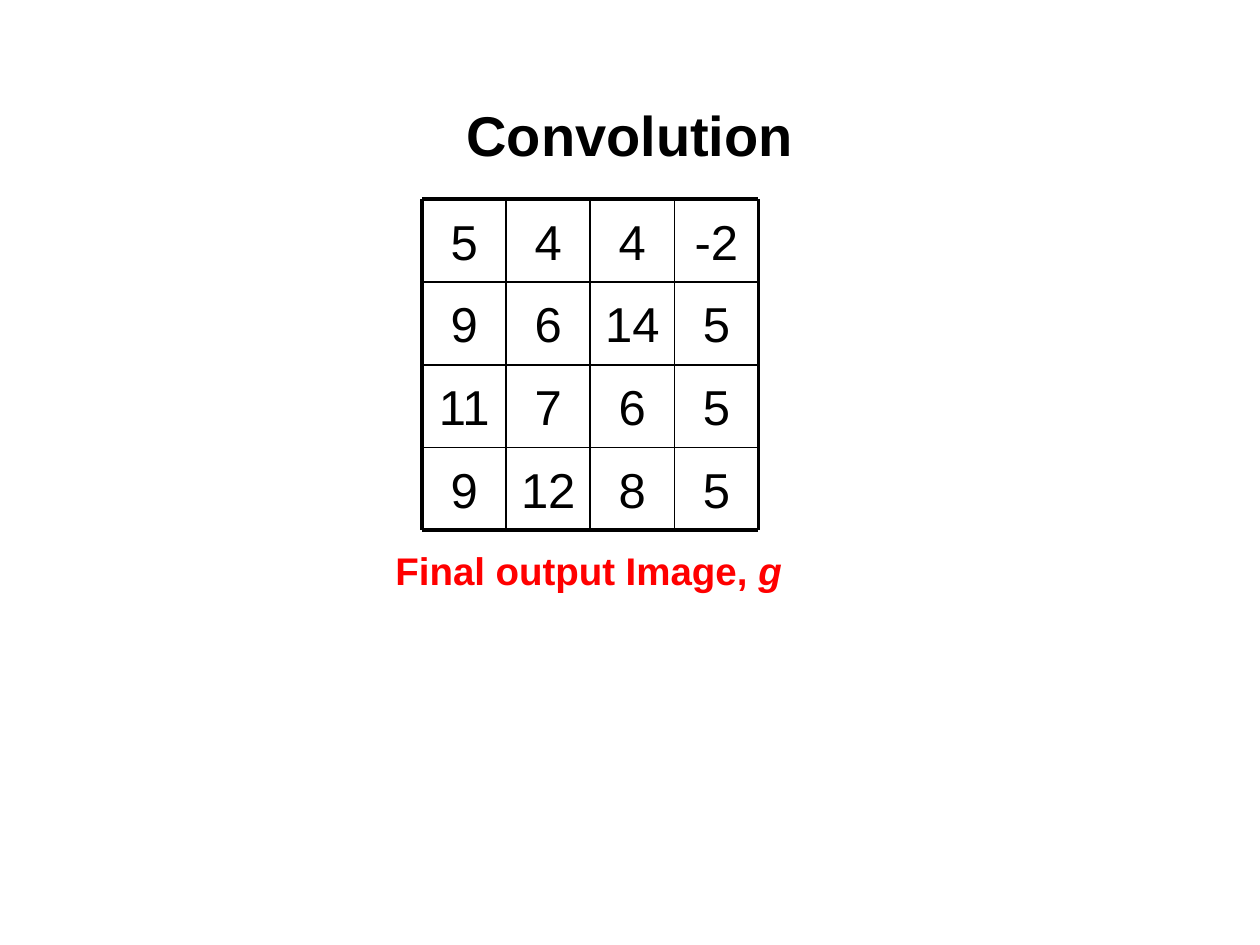
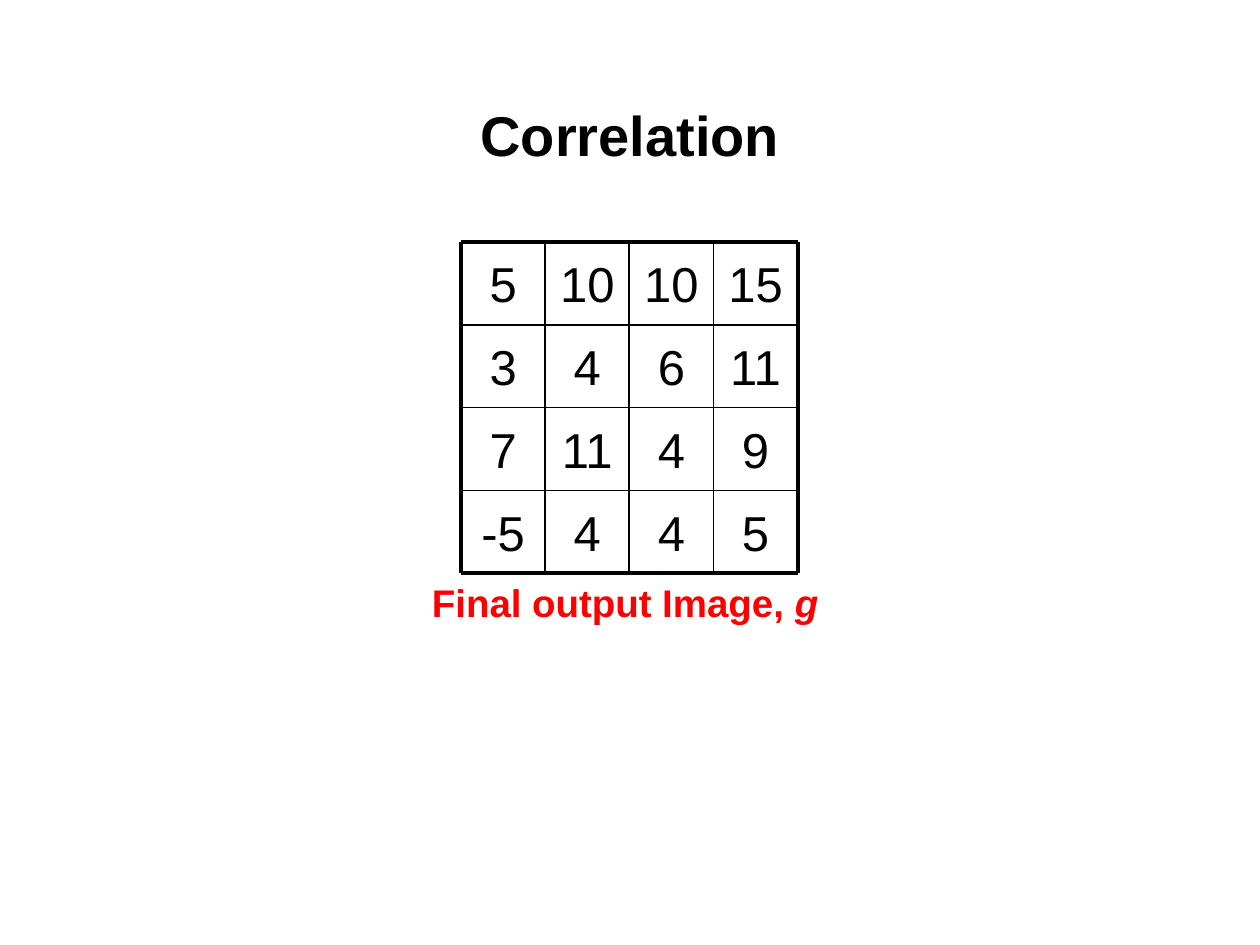
from dataclasses import dataclass
from lxml.etree import SubElement
from pptx import Presentation
from pptx.dml.color import RGBColor as RGB
from pptx.enum.shapes import MSO_CONNECTOR as Link
from pptx.enum.text import MSO_ANCHOR as Anchor, PP_ALIGN as Align
from pptx.oxml.ns import qn
from pptx.util import Inches, Pt


@dataclass(frozen=True)
class Theme:
    font: str = "Arial"
    ink: str = "000000"
    accent: str = "FF0000"
    title: int = 32
    number: int = 28
    label: int = 22
    thick: float = 2.25
    thin: float = 1
    grid: tuple = (2.67, 2.63)


class Deck:
    """Draws titled number grids with one shared style."""

    def __init__(self, theme):
        self.theme = theme
        self.prs = Presentation()
        self.prs.slide_width, self.prs.slide_height = Inches(10), Inches(7.5)

    def page(self):
        self.slide = self.prs.slides.add_slide(self.prs.slide_layouts[6])

    def style(self, run, size, color, bold=False, italic=False):
        font = run.font
        font.name, font.size = self.theme.font, Pt(size)
        font.bold, font.italic = bold, italic
        font.color.rgb = RGB.from_string(color)

    def box(self, left, top, width, height, wrap=True):
        area = map(Inches, (left, top, width, height))
        frame = self.slide.shapes.add_textbox(*area).text_frame
        frame.word_wrap = wrap
        return frame

    def center(self, frame, text, size, before, bold=False):
        frame.text = text
        para = frame.paragraphs[0]
        para.alignment, para.space_before = Align.CENTER, Pt(before)
        self.style(para.runs[0], size, self.theme.ink, bold)

    def title(self, text):
        frame = self.box(0, 0.75, 10, 0.64)
        self.center(frame, text, self.theme.title, 20, bold=True)

    def label(self, text, symbol, left, top):
        para = self.box(left, top, 3.35, 0.47, wrap=False).paragraphs[0]
        for part, italic in ((text, False), (symbol, True)):
            run = para.add_run()
            run.text = part
            self.style(run, self.theme.label, self.theme.accent, True, italic)

    def number(self, value, left, top, width, height):
        frame = self.box(left, top, width, height)
        frame.vertical_anchor = Anchor.MIDDLE
        frame.margin_left = frame.margin_right = 0
        frame.margin_top = frame.margin_bottom = 0
        self.center(frame, str(value), self.theme.number, 7)

    def rule(self, x1, y1, x2, y2, outer):
        ends = map(Inches, (x1, y1, x2, y2))
        link = self.slide.shapes.add_connector(Link.STRAIGHT, *ends)
        link.line.color.rgb = RGB.from_string(self.theme.ink)
        link.line.width = Pt(self.theme.thick if outer else self.theme.thin)
        SubElement(link._element.spPr, qn("a:effectLst"))

    def grid(self, values, left, top):
        width, height = self.theme.grid
        rows, cols = len(values), len(values[0])
        wide, high = width / cols, height / rows
        for r, line in enumerate(values):
            for c, value in enumerate(line):
                self.number(value, left + c * wide, top + r * high, wide, high)
        for r in range(rows + 1):
            y = top + r * high
            self.rule(left, y, left + width, y, r in (0, rows))
        for c in range(cols + 1):
            x = left + c * wide
            self.rule(x, top, x, top + height, c in (0, cols))


CONV = [[5, 4, 4, -2], [9, 6, 14, 5], [11, 7, 6, 5], [9, 12, 8, 5]]
CORR = [[5, 10, 10, 15], [3, 4, 6, 11], [7, 11, 4, 9], [-5, 4, 4, 5]]
PAGES = [
    ("Convolution", CONV, (3.35, 1.58), (3.04, 4.29)),
    ("Correlation", CORR, (3.66, 1.92), (3.33, 4.55)),
]


def main():
    deck = Deck(Theme())
    for name, values, grid, label in PAGES:
        deck.page()
        deck.grid(values, *grid)
        deck.label("Final output Image, ", "g", *label)
        deck.title(name)
    deck.prs.save("out.pptx")


if __name__ == "__main__":
    main()
